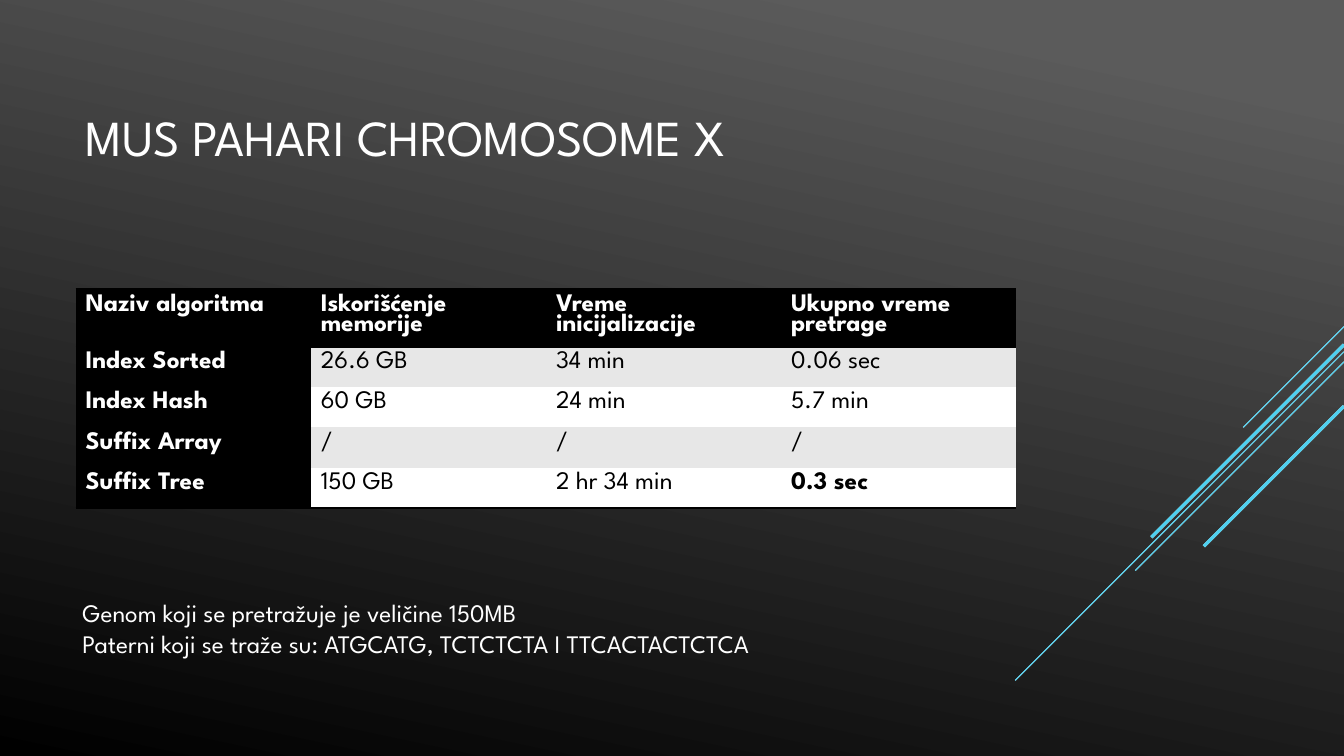
from dataclasses import dataclass

from lxml import etree
from pptx import Presentation
from pptx.dml.color import RGBColor
from pptx.enum.shapes import MSO_CONNECTOR
from pptx.enum.text import MSO_ANCHOR
from pptx.oxml.ns import qn
from pptx.util import Inches, Pt

STRAIGHT = MSO_CONNECTOR.STRAIGHT
MIDDLE, TOP = MSO_ANCHOR.MIDDLE, MSO_ANCHOR.TOP
WHITE = RGBColor(0xFF, 0xFF, 0xFF)
BLACK = RGBColor(0, 0, 0)
GREY = RGBColor(0x5B, 0x5B, 0x5B)
BAND = RGBColor(0xE7, 0xE7, 0xE7)
CYAN = RGBColor(0x22, 0xC5, 0xED)
FONT = "League Spartan"
WIDTH, HEIGHT = 13.33, 7.5
MARGIN, CONTENT_WIDTH = 0.75, 9.33
TABLE_TOP, HEADER_HEIGHT, ROW_HEIGHT = 2.87, 0.57, 0.4


@dataclass(frozen=True)
class Ray:
    top: float
    run: float
    weight: float


@dataclass(frozen=True)
class Caption:
    lines: tuple[str, ...]
    left: float
    top: float
    height: float
    size: int
    anchor: MSO_ANCHOR


RAYS = (Ray(3.24, 1, 0.75), Ray(3.49, 3.26, 0.75), Ray(3.59, 2.07, 0.75),
        Ray(3.42, 1.91, 2.25), Ray(4.03, 1.39, 2.25))
CAPTIONS = (
    Caption(("MUS PAHARI CHROMOSOME X",), MARGIN, 0.53, 1.65, 36, MIDDLE),
    Caption(("Genom koji se pretražuje je veličine 150MB",
             "Paterni koji se traže su: ATGCATG, TCTCTCTA I TTCACTACTCTCA"),
            0.72, 5.88, 0.71, 18, TOP),
)
RESULTS = (
    ("Naziv algoritma", "Iskorišćenje memorije", "Vreme inicijalizacije", "Ukupno vreme pretrage"),
    ("Index Sorted", "26.6 GB", "34 min", "0.06 sec"),
    ("Index Hash", "60 GB", "24 min", "5.7 min"),
    ("Suffix Array", "/", "/", "/"),
    ("Suffix Tree", "150 GB", "2 hr 34 min", "0.3 sec"),
)
FASTEST = "0.3 sec"


def style_text(frame, size: int, color: RGBColor, bold: bool, spacing: float) -> None:
    for paragraph in frame.paragraphs:
        paragraph.line_spacing = spacing
        for run in paragraph.runs:
            run.font.name = FONT
            run.font.size = Pt(size)
            run.font.bold = bold
            run.font.color.rgb = color


def draw_ray(slide, ray: Ray, color: RGBColor, opacity: int) -> None:
    line = slide.shapes.add_connector(
        STRAIGHT, Inches(WIDTH), Inches(ray.top),
        Inches(WIDTH - ray.run), Inches(ray.top + ray.run))
    line.line.color.rgb = color
    line.line.width = Pt(ray.weight)
    properties = line._element.spPr
    fill = properties.find(".//" + qn("a:srgbClr"))
    etree.SubElement(fill, qn("a:alpha"), val=str(opacity * 1000))
    etree.SubElement(properties, qn("a:effectLst"))


def draw_caption(slide, caption: Caption) -> None:
    box = slide.shapes.add_textbox(Inches(caption.left), Inches(caption.top),
                                   Inches(CONTENT_WIDTH), Inches(caption.height))
    frame = box.text_frame
    frame.word_wrap = True
    frame.vertical_anchor = caption.anchor
    frame.text = "\n".join(caption.lines)
    style_text(frame, caption.size, WHITE, False, 1.0)


def set_borders(cell, ruled: set[str]) -> None:
    properties = cell._tc.get_or_add_tcPr()
    for place, side in enumerate(("lnL", "lnR", "lnT", "lnB")):
        border = etree.Element(qn(f"a:{side}"))
        if side in ruled:
            border.set("w", str(Pt(2)))
            fill = etree.SubElement(border, qn("a:solidFill"))
            etree.SubElement(fill, qn("a:srgbClr"), val=str(BLACK))
        else:
            etree.SubElement(border, qn("a:noFill"))
        properties.insert(place, border)


def draw_results(slide) -> None:
    last = len(RESULTS) - 1
    table = slide.shapes.add_table(
        len(RESULTS), len(RESULTS[0]), Inches(MARGIN), Inches(TABLE_TOP),
        Inches(CONTENT_WIDTH), Inches(HEADER_HEIGHT + last * ROW_HEIGHT)).table
    for r, values in enumerate(RESULTS):
        table.rows[r].height = Inches(ROW_HEIGHT if r else HEADER_HEIGHT)
        ruled = {0: {"lnT", "lnB"}, 1: {"lnT"}, last: {"lnB"}}.get(r, set())
        for c, value in enumerate(values):
            cell = table.cell(r, c)
            heading = r == 0 or c == 0
            cell.text = value
            cell.fill.solid()
            cell.fill.fore_color.rgb = BLACK if heading else BAND if r % 2 else WHITE
            style_text(cell.text_frame, 18, WHITE if heading else BLACK,
                       heading or value == FASTEST, 0.9)
            set_borders(cell, ruled)


def paint_background(slide) -> None:
    fill = slide.background.fill
    fill.gradient()
    fill.gradient_angle = 258
    for stop, color, position in zip(fill.gradient_stops, (GREY, BLACK), (0.1, 1.0)):
        stop.color.rgb = color
        stop.position = position


deck = Presentation()
deck.slide_width, deck.slide_height = Inches(WIDTH), Inches(HEIGHT)
results_slide = deck.slides.add_slide(deck.slide_layouts[6])
paint_background(results_slide)
for ray_color, ray_opacity in ((WHITE, 100), (CYAN, 80)):
    for ray in RAYS:
        draw_ray(results_slide, ray, ray_color, ray_opacity)
draw_results(results_slide)
for caption in CAPTIONS:
    draw_caption(results_slide, caption)
deck.save("out.pptx")
